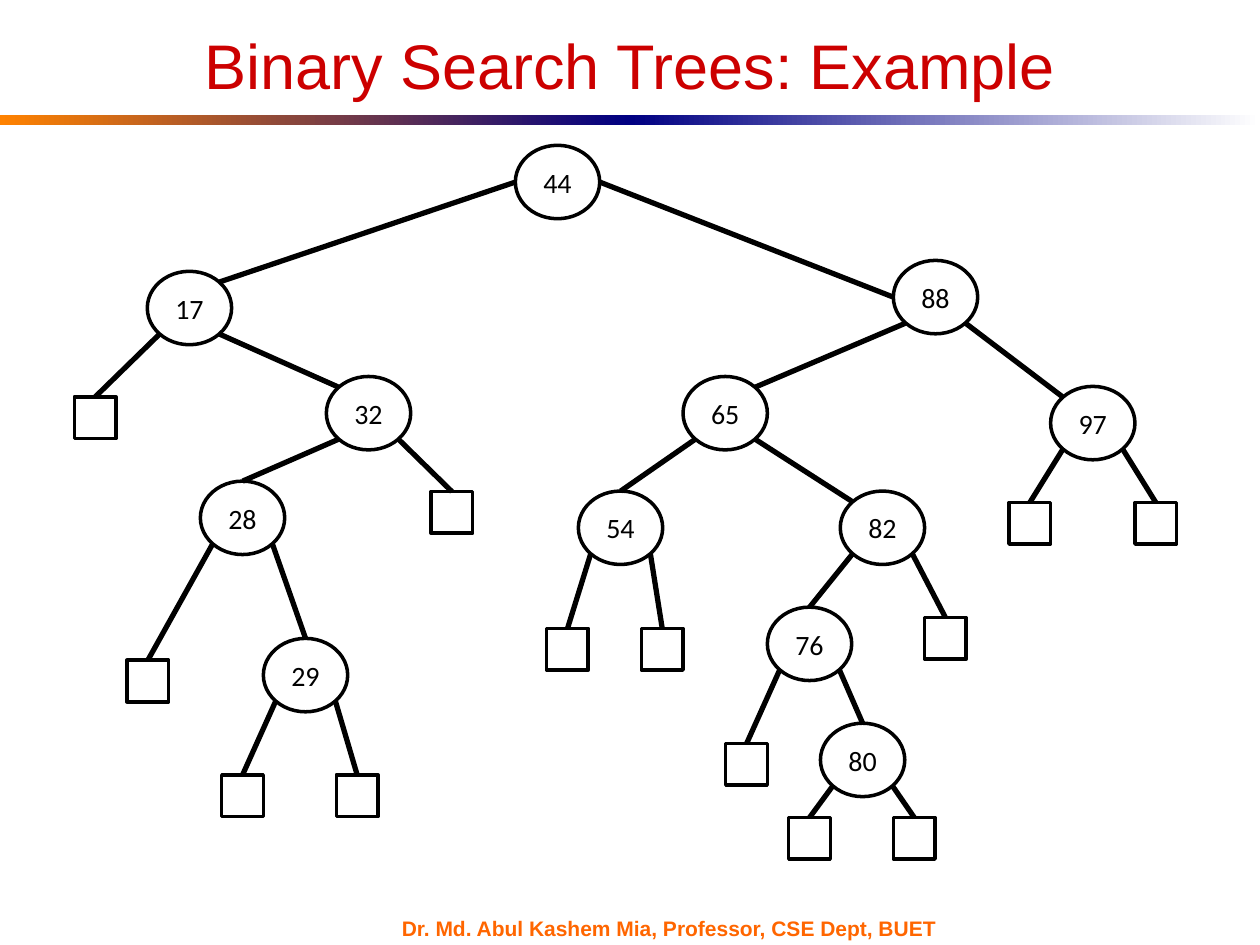
from dataclasses import dataclass
from math import hypot

from lxml import etree
from pptx import Presentation
from pptx.dml.color import RGBColor
from pptx.enum.shapes import MSO_CONNECTOR, MSO_SHAPE
from pptx.enum.text import MSO_ANCHOR, PP_ALIGN
from pptx.oxml.ns import qn
from pptx.util import Cm, Pt

LINE = MSO_CONNECTOR.STRAIGHT
OVAL, RECT = MSO_SHAPE.OVAL, MSO_SHAPE.RECTANGLE
MIDDLE = MSO_ANCHOR.MIDDLE
CENTER, LEFT = PP_ALIGN.CENTER, PP_ALIGN.LEFT

COLORS = {
    "ink": "000000", "paper": "FFFFFF", "title": "CC0000",
    "footer": "FF6600", "orange": "FF8200", "navy": "000082",
}
NODE_W, NODE_H, LEAF = 1.7, 1.48, 0.84

NODES = {
    44: (11.24, 3.67, None, 0, None),
    17: (3.82, 6.21, 44, -1, (1, -1)),
    88: (18.86, 5.99, 44, 1, (-1, 0)),
    32: (7.43, 8.33, 17, 1, (-1, -1)),
    65: (14.62, 8.33, 88, -1, (1, -1)),
    97: (22.03, 8.53, 88, 1, (-1, -1)),
    28: (4.89, 10.44, 32, -1, (0, -1)),
    54: (12.51, 10.64, 65, -1, (0, -1)),
    82: (17.79, 10.64, 65, 1, (-1, -1)),
    29: (6.16, 13.61, 28, 1, (0, -1)),
    76: (16.32, 12.98, 82, -1, (0, -1)),
    80: (17.39, 15.32, 76, 1, (0, -1)),
}
LEAVES = [
    (1.92, 8.0, 17, -1), (9.11, 9.91, 32, 1), (2.98, 13.31, 28, -1),
    (4.89, 15.62, 29, -1), (7.2, 15.62, 29, 1),
    (11.44, 12.67, 54, -1), (13.35, 12.67, 54, 1),
    (20.76, 10.13, 97, -1), (23.3, 10.13, 97, 1),
    (15.05, 14.99, 76, -1), (19.06, 12.45, 82, 1),
    (16.32, 16.48, 80, -1), (18.43, 16.48, 80, 1),
]


def tint(name):
    return RGBColor.from_string(COLORS[name])


def rim(key, way):
    x, y = NODES[key][:2]
    dx, dy = way
    size = hypot(dx, dy)
    return x + dx / size * NODE_W / 2, y + dy / size * NODE_H / 2


def port(key, side):
    return rim(key, (side, 0 if NODES[key][2] is None else 1))


@dataclass
class Board:
    """Draws styled tree parts on the current slide."""

    slide: object
    font: str = "Arial"
    label: str = "Calibri"

    def letter(self, shape, text, size, color, font, align=CENTER, bold=False):
        frame = shape.text_frame
        frame.word_wrap = True
        frame.vertical_anchor = MIDDLE
        frame.text = text
        para = frame.paragraphs[0]
        para.alignment = align
        for run in para.runs:
            run.font.name = font
            run.font.size = Pt(size)
            run.font.bold = bold
            run.font.color.rgb = tint(color)

    def text(self, box, text, size, color, align=CENTER, bold=False):
        shape = self.slide.shapes.add_textbox(*map(Cm, box))
        self.letter(shape, text, size, color, self.font, align, bold)

    def band(self, left, start, end):
        shape = self.slide.shapes.add_shape(
            RECT, Cm(left), Cm(2.31), Cm(12.7), Cm(0.21))
        shape.shadow.inherit = False
        shape.line.fill.background()
        shape.fill.gradient()
        shape.fill.gradient_angle = 0
        for stop, name in zip(shape.fill.gradient_stops, (start, end)):
            stop.color.rgb = tint(name)

    def outline(self, kind, x, top, width, height):
        shape = self.slide.shapes.add_shape(
            kind, Cm(x - width / 2), Cm(top), Cm(width), Cm(height))
        shape.shadow.inherit = False
        shape.fill.solid()
        shape.fill.fore_color.rgb = tint("paper")
        shape.line.color.rgb = tint("ink")
        shape.line.width = Pt(2)
        return shape

    def node(self, key, x, y):
        shape = self.outline(OVAL, x, y - NODE_H / 2, NODE_W, NODE_H)
        self.letter(shape, str(key), 16, "ink", self.label)

    def leaf(self, x, top):
        self.outline(RECT, x, top, LEAF, LEAF)

    def edge(self, start, end):
        line = self.slide.shapes.add_connector(LINE, *map(Cm, start + end))
        line.line.color.rgb = tint("ink")
        line.line.width = Pt(3)
        etree.SubElement(line._element.spPr, qn("a:effectLst"))


def main():
    deck = Presentation()
    deck.slide_width, deck.slide_height = Cm(25.4), Cm(19.05)
    board = Board(deck.slides.add_slide(deck.slide_layouts[6]))

    board.band(0, "orange", "navy")
    board.band(12.7, "navy", "paper")
    board.text((7.85, 18.49, 11.86, 0.46),
               "Dr. Md. Abul Kashem Mia, Professor, CSE Dept, BUET",
               12, "footer", LEFT, True)
    board.text((1.27, 0.64, 22.86, 1.3),
               "Binary Search Trees: Example", 36, "title")

    for key, (x, y, parent, side, way) in NODES.items():
        board.node(key, x, y)
        if parent is not None:
            board.edge(port(parent, side), rim(key, way))
    for x, top, parent, side in LEAVES:
        board.leaf(x, top)
        board.edge(port(parent, side), (x, top))

    deck.save("out.pptx")


if __name__ == "__main__":
    main()
